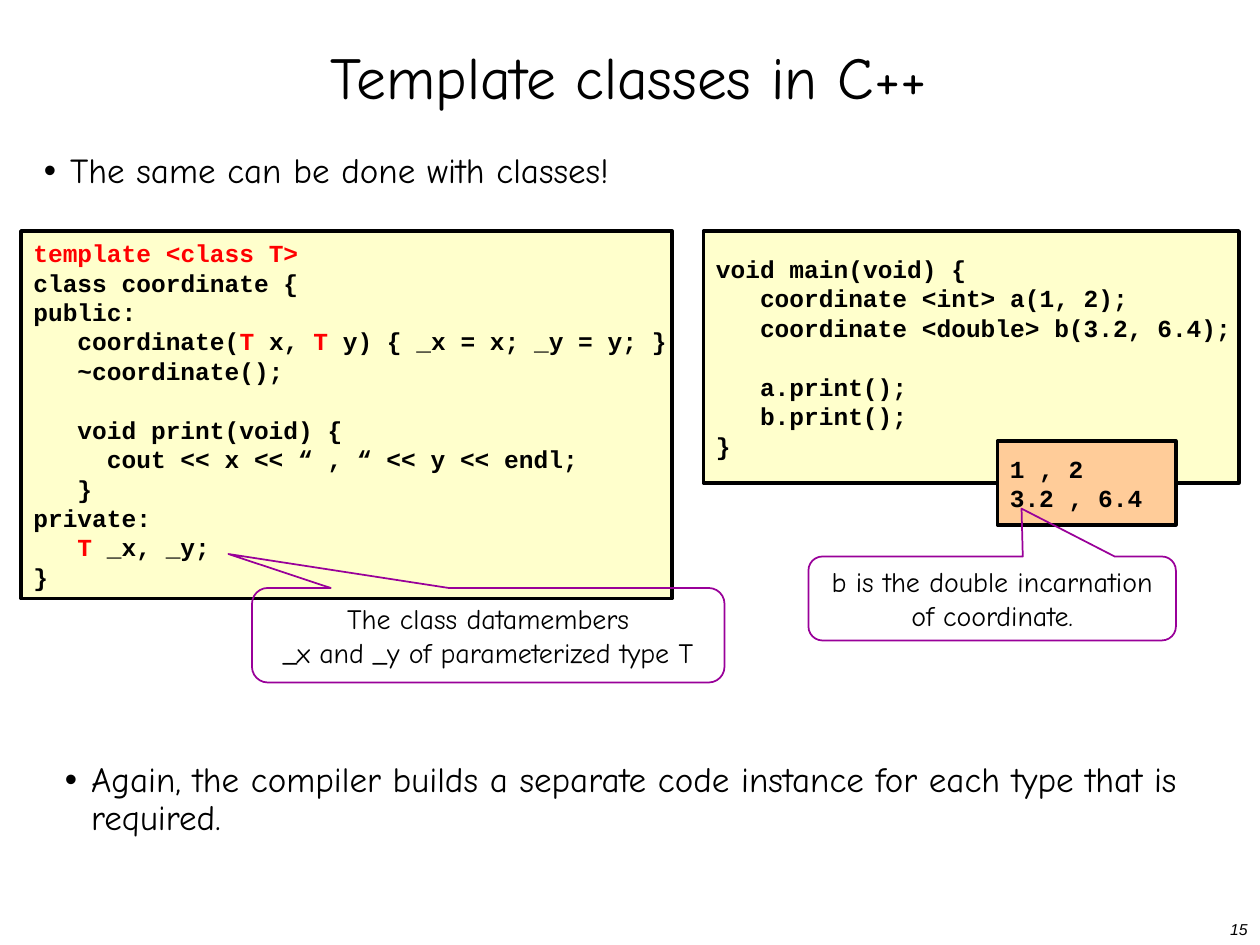
from lxml.etree import SubElement
from pptx import Presentation
from pptx.dml.color import RGBColor
from pptx.enum.shapes import MSO_SHAPE
from pptx.enum.text import MSO_ANCHOR, PP_ALIGN
from pptx.oxml.ns import qn
from pptx.util import Emu, Pt

PX = 7620  # EMU per px, 120 px to the inch
CHAR, CODE_LINE = 14, 28  # px: width of a code character, height of a code line

THEME = {
    "ink": RGBColor.from_string("000000"),
    "accent": RGBColor.from_string("FF0000"),
    "code_fill": RGBColor.from_string("FFFFCC"),
    "output_fill": RGBColor.from_string("FFCC99"),
    "note_line": RGBColor.from_string("990099"),
    "title": {"name": "Comic Neue", "size": Pt(34)},
    "point": {"name": "Comic Neue", "size": Pt(20)},
    "note": {"name": "Comic Neue", "size": Pt(16)},
    "code": {"name": "Courier New", "size": Pt(14), "bold": True},
    "number": {"name": "Arial", "size": Pt(9), "italic": True},
}


def px(*lengths):
    return [Emu(length * PX) for length in lengths]


def write(frame, lines, style, frame_format, paragraph_format):
    """Write lines; parts between bars take the accent colour, leading
    spaces become a left margin and an empty line becomes space before."""
    for key, value in frame_format.items():
        setattr(frame, key, value)
    paragraph, gap = frame.paragraphs[0], 0
    for number, line in enumerate(lines):
        if not line:
            gap += CODE_LINE
            continue
        if number:
            paragraph = frame.add_paragraph()
        for key, value in paragraph_format.items():
            setattr(paragraph, key, value)
        body = line.lstrip(" ")
        if body != line:
            margin = (len(line) - len(body)) * CHAR * PX
            paragraph._p.get_or_add_pPr().set("marL", str(margin))
        if gap:
            paragraph.space_before, gap = Emu(gap * PX), 0
        for index, part in enumerate(body.split("|")):
            if part:
                run = paragraph.add_run()
                run.text = part
                for key, value in THEME[style].items():
                    setattr(run.font, key, value)
                run.font.color.rgb = THEME["accent" if index % 2 else "ink"]


deck = Presentation()
deck.slide_width, deck.slide_height = px(1200, 900)
slide = deck.slides.add_slide(deck.slide_layouts[6])

# Title
title = slide.shapes.add_textbox(*px(38, 30, 1122, 96))
write(title.text_frame, ["Template classes in C++"], "title",
      {"word_wrap": True, "vertical_anchor": MSO_ANCHOR.MIDDLE},
      {"alignment": PP_ALIGN.CENTER, "line_spacing": 0.8})

# Bullet points
points = [
    (30, 140, "The same can be done with classes!"),
    (50, 720, "Again, the compiler builds a separate code instance "
              "for each type that is required."),
]
for left, top, sentence in points:
    point = slide.shapes.add_textbox(*px(left, top, 1093, 100))
    write(point.text_frame, [sentence], "point", {"word_wrap": True},
          {"line_spacing": 0.9, "space_before": Pt(5)})
    properties = point.text_frame.paragraphs[0]._p.get_or_add_pPr()
    properties.set("marL", str(25 * PX))
    properties.set("indent", str(-25 * PX))
    SubElement(properties, qn("a:buFont")).set("typeface", "Arial")
    SubElement(properties, qn("a:buChar")).set("char", "•")

# Code, notes and program output, from back to front
template_code = [
    "|template <class T>|",
    "class coordinate {",
    "public:",
    "   coordinate(|T| x, |T| y) { _x = x; _y = y; }",
    "   ~coordinate();",
    "",
    "   void print(void) {",
    "     cout << x << “ , “ << y << endl;",
    "   }",
    "private:",
    "   |T| _x, _y;",
    "}",
]
main_code = [
    "void main(void) {",
    "   coordinate <int> a(1, 2);",
    "   coordinate <double> b(3.2, 6.4);",
    "",
    "   a.print();",
    "   b.print();",
    "}",
]
member_note = ["The class datamembers", "_x and _y of parameterized type T"]
output = ["1 , 2", "3.2 , 6.4"]
double_note = ["b is the double incarnation", "of coordinate."]

# place, fill, callout tip, lines
panels = [
    ((20, 220, 620, 350), "code_fill", None, template_code),
    ((670, 220, 510, 240), "code_fill", None, main_code),
    ((240, 560, 450, 90), None, (-0.55, -0.86), member_note),
    ((950, 420, 170, 80), "output_fill", None, output),
    ((770, 530, 350, 80), None, (0.08, -1.07), double_note),
]
for place, fill, tip, lines in panels:
    kind = MSO_SHAPE.ROUNDED_RECTANGULAR_CALLOUT if tip else MSO_SHAPE.RECTANGLE
    panel = slide.shapes.add_shape(kind, *px(*place))
    panel.shadow.inherit = False
    if tip:
        panel.adjustments[0], panel.adjustments[1] = tip
        panel.fill.background()
    else:
        panel.fill.solid()
        panel.fill.fore_color.rgb = THEME[fill]
    panel.line.color.rgb = THEME["note_line" if tip else "ink"]
    panel.line.width = Pt(1 if tip else 2)
    write(panel.text_frame, lines, "note" if tip else "code",
          {"word_wrap": False, "vertical_anchor": MSO_ANCHOR.MIDDLE},
          {"alignment": PP_ALIGN.CENTER if tip else PP_ALIGN.LEFT})

# Slide number
page = slide.shapes.add_textbox(*px(870, 870, 330, 30))
write(page.text_frame, ["15"], "number", {"word_wrap": True},
      {"alignment": PP_ALIGN.RIGHT})

deck.save("out.pptx")
